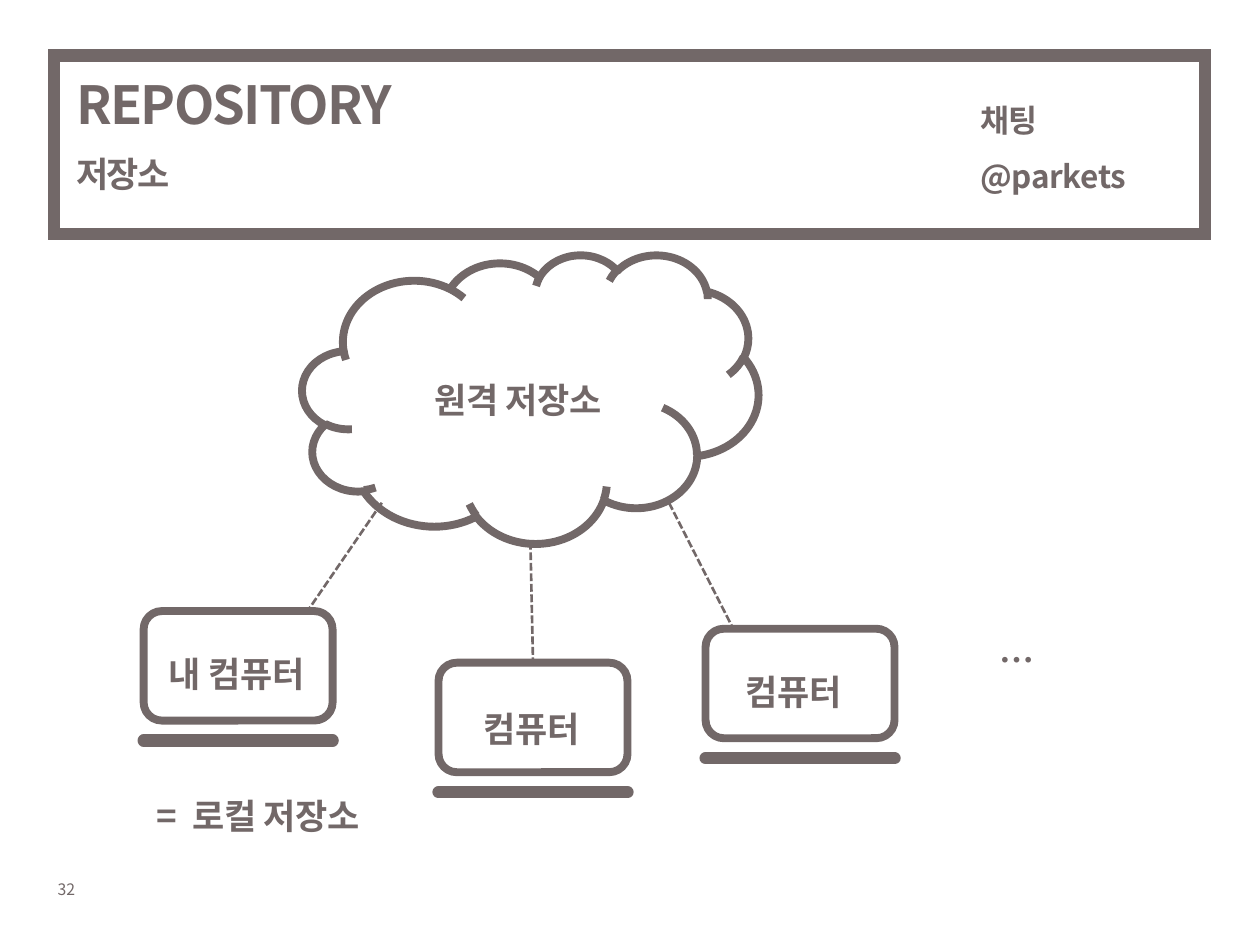
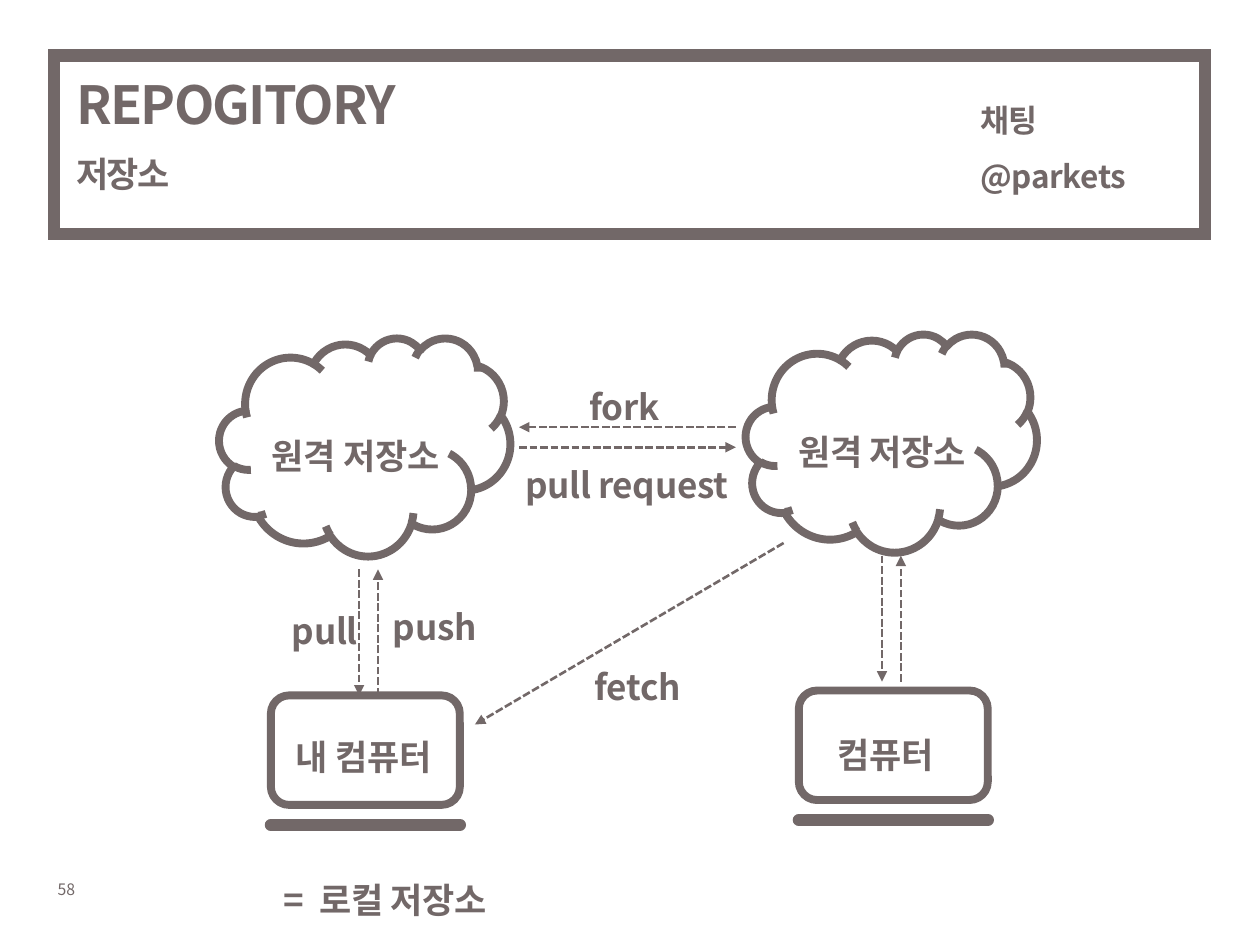
import pptx
import pptx.dml.color
import pptx.enum.dml
import pptx.enum.shapes
import pptx.enum.text
import pptx.oxml.ns
import pptx.util
from lxml import etree

Pt = pptx.util.Pt
SHAPE = pptx.enum.shapes.MSO_SHAPE
ANCHOR = pptx.enum.text.MSO_ANCHOR
INK = pptx.dml.color.RGBColor(0x72, 0x68, 0x68)
FONT = "Noto Sans CJK KR"
THICK, MEDIUM, THIN = 7, 4.5, 1.5
SCREEN_WIDTH, SCREEN_HEIGHT, BASE_DROP = 108, 62.6, 74


def add_xml(parent, tag, **attributes):
    return etree.SubElement(parent, pptx.oxml.ns.qn(tag), attributes)


# Text
def add_span(para, text, size, bold=True, spacing=-0.2):
    span = para.add_run()
    span.text = text
    span.font.size = Pt(size)
    span.font.bold = bold
    span.font.name = FONT
    span.font.color.rgb = INK
    properties = span.font._element
    properties.set("spc", str(round(spacing * 100)))
    add_xml(properties, "a:ea", typeface=FONT)


def add_text(page, lines, x, y, width, height, line_spacing=None,
             anchor=ANCHOR.TOP, hanging=0, **span_format):
    """Each line is a list of (text, size) or (text, size, spacing)."""
    box = page.shapes.add_textbox(Pt(x), Pt(y), Pt(width), Pt(height))
    frame = box.text_frame
    frame.word_wrap = True
    frame.vertical_anchor = anchor
    para = frame.paragraphs[0]
    if hanging:
        properties = para._p.get_or_add_pPr()
        properties.set("marL", str(Pt(hanging)))
        properties.set("indent", str(-Pt(hanging)))
    if line_spacing:
        para.line_spacing = line_spacing
    for number, line in enumerate(lines):
        if number:
            para.add_line_break()
        for text, size, *spacing in line:
            options = dict(span_format)
            if spacing:
                options["spacing"] = spacing[0]
            add_span(para, text, size, **options)


def add_label(page, text, x, y, width=102.2, height=47.5):
    add_text(page, [[(text, 20)]], x, y, width, height,
             line_spacing=1.5, hanging=18)


def add_local_note(page, x, y):
    # The space after the equals sign is widened by letter spacing
    spans = [("=", 20), (" ", 20, 4.3), ("로컬 저장소", 20)]
    add_text(page, [spans], x, y, 155.5, 42.5, line_spacing=1.4, hanging=18)


# Outlines and lines
def add_outline(page, kind, x, y, width, height, weight):
    shape = page.shapes.add_shape(kind, Pt(x), Pt(y), Pt(width), Pt(height))
    shape.shadow.inherit = False
    shape.fill.background()
    shape.line.color.rgb = INK
    shape.line.width = Pt(weight)
    return shape


def add_line(page, start, end, weight=THIN, dashed=True, arrow=False):
    line = page.shapes.add_connector(
        pptx.enum.shapes.MSO_CONNECTOR.STRAIGHT,
        *(Pt(value) for value in (*start, *end)))
    line.line.color.rgb = INK
    line.line.width = Pt(weight)
    stroke = line.line._get_or_add_ln()
    if dashed:
        line.line.dash_style = pptx.enum.dml.MSO_LINE.SQUARE_DOT
    else:
        stroke.set("cap", "rnd")
    if arrow:
        add_xml(stroke, "a:tailEnd", type="triangle")
    add_xml(line._element.spPr, "a:effectLst")
    return line


def add_laptop(page, x, y):
    screen = add_outline(page, SHAPE.ROUNDED_RECTANGLE, x, y,
                         SCREEN_WIDTH, SCREEN_HEIGHT, MEDIUM)
    base = y + BASE_DROP
    add_line(page, (x, base), (x + SCREEN_WIDTH, base), THICK, dashed=False)
    return screen


def add_remote(page, x, y, width, height, label_x, label_y):
    add_outline(page, SHAPE.CLOUD, x, y, width, height, MEDIUM)
    add_label(page, "원격 저장소", x + label_x, y + label_y, 129.6, 72)


def add_arrow_pair(page, down_x, up_x, top, bottom):
    add_line(page, (down_x, top), (down_x, bottom), arrow=True)
    add_line(page, (up_x, bottom), (up_x, top), arrow=True)


# Shared frame: page number, title and contact
def add_page(deck, title, number):
    page = deck.slides.add_slide(deck.slide_layouts[6])
    add_text(page, [[(number, 9)]], 25.9, 498.9, 37.4, 18,
             bold=False, spacing=0)
    add_text(page, [[(title, 30)], [("저장소", 20), (" ", 30)]],
             36.6, 31.7, 516.2, 90.7, anchor=ANCHOR.MIDDLE, spacing=-1)
    band = add_outline(page, SHAPE.RECTANGLE, 31, 31.7, 657.4, 102.2, THICK)
    add_xml(band.line._get_or_add_ln(), "a:miter", lim="800000")
    add_text(page, [[("채팅", 18)], [("@parkets", 18)]],
             553, 43.2, 123.1, 40.3, line_spacing=1.5)
    return page


def build_shared_repository(deck):
    page = add_page(deck, "REPOSITORY", "32")
    # Links from the cloud to the computers
    add_line(page, (218.2, 287.3), (175.7, 349.2))
    add_line(page, (382.3, 287.3), (419, 359.3))
    middle_link = add_line(page, (303.1, 309.6), (304.6, 378.7))
    # Computers
    add_laptop(page, 82.1, 349.2)
    middle_screen = add_laptop(page, 250.6, 378.7)
    middle_link.end_connect(middle_screen, 0)
    add_laptop(page, 403.2, 359.3)
    for text, x, y in [("내 컴퓨터", 89.3, 357.1), ("컴퓨터", 269.3, 388.8),
                       ("컴퓨터", 419, 367.9), ("…", 563.8, 349.2)]:
        add_label(page, text, x, y)
    add_remote(page, 172.8, 145.4, 260.6, 164.9, 68.4, 55.5)
    add_local_note(page, 82.1, 440.6)


def build_forked_repository(deck):
    page = add_page(deck, "REPOGITORY", "58")
    # Remote repositories and the computers below them
    for x, y in [(125.3, 193), (426.2, 190.8)]:
        add_remote(page, x, y, 166.3, 124.6, 23, 39.6)
    add_laptop(page, 154.8, 397.4)
    add_laptop(page, 456.5, 394.6)
    add_label(page, "내 컴퓨터", 162, 404.6)
    add_label(page, "컴퓨터", 471.6, 403.9)
    add_local_note(page, 154.8, 488.9)
    # Transfers
    add_arrow_pair(page, 205.2, 216, 325.4, 397.4)
    add_arrow_pair(page, 504, 514.8, 317.5, 389.5)
    add_line(page, (447.8, 310.3), (271.4, 414), arrow=True)
    add_line(page, (420.5, 244.1), (296.6, 244.1), arrow=True)
    add_line(page, (296.6, 255.6), (420.5, 255.6), arrow=True)
    for text, x, y, width in [("fork", 329.8, 204.5, 102.2),
                              ("pull request", 293, 249.1, 169.2),
                              ("pull", 159.8, 332.6, 69.8),
                              ("push", 217.4, 330.5, 69.8),
                              ("fetch", 332.6, 365, 69.8)]:
        add_label(page, text, x, y, width)


def main():
    deck = pptx.Presentation()
    deck.slide_width, deck.slide_height = Pt(720), Pt(540)
    build_shared_repository(deck)
    build_forked_repository(deck)
    deck.save("out.pptx")


if __name__ == "__main__":
    main()
